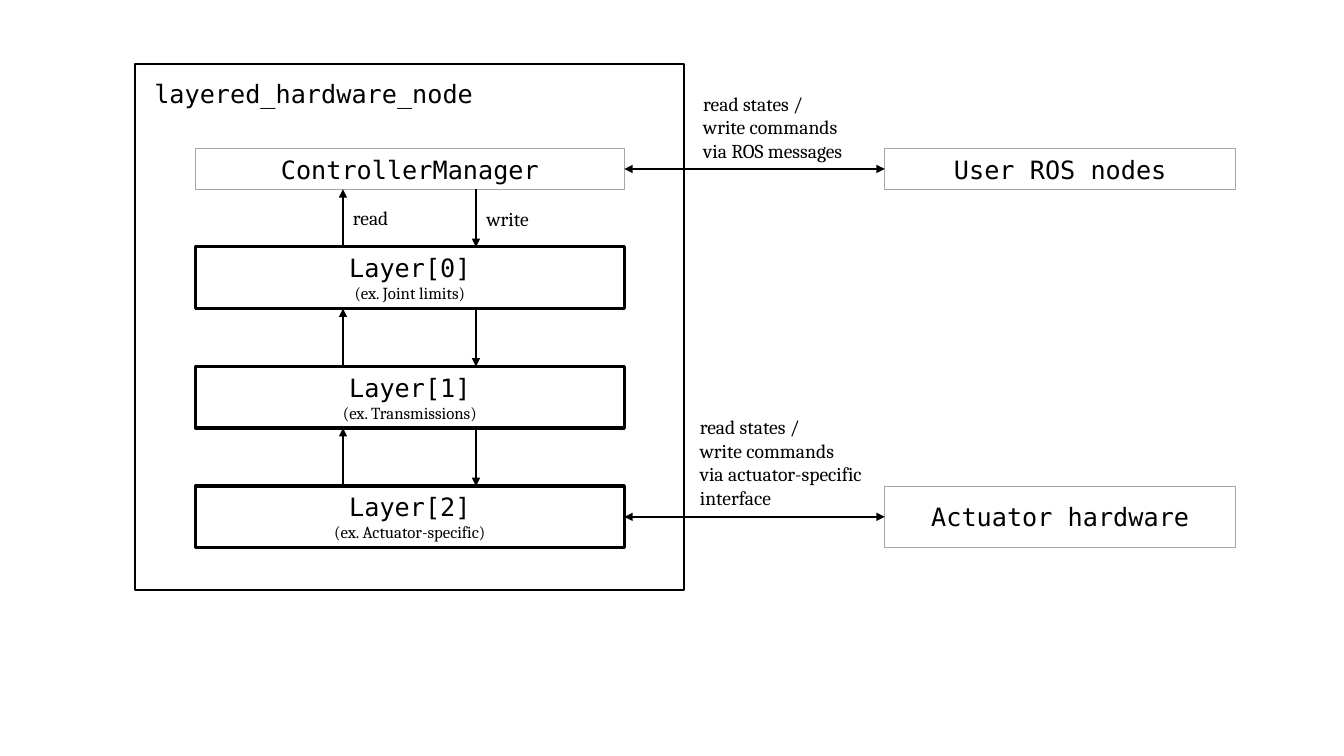
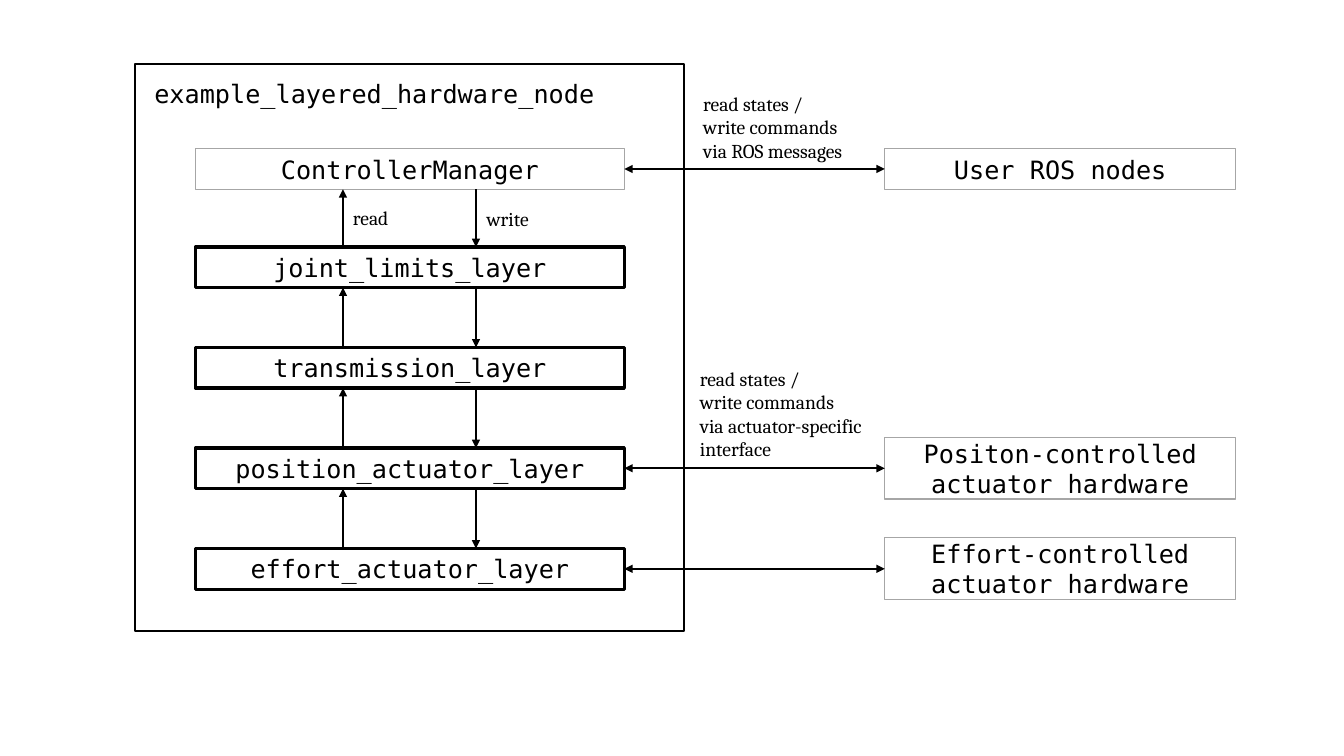
import pptx
import pptx.dml.color
import pptx.enum.shapes
import pptx.enum.text
import pptx.oxml
import pptx.oxml.ns
import pptx.util
from pptx.util import Pt

MONO, SERIF = "DejaVu Sans Mono", "Cambria"
BLACK, GREY = "000000", "A6A6A6"

# Each layer: name, example (or None), connected hardware (or None)
DIAGRAMS = [
    {
        "title": "layered_hardware_node",
        "layer_height": 44,
        "layer_pitch": 85.4,
        "layers": [
            ("Layer[0]", "(ex. Joint limits)", None),
            ("Layer[1]", "(ex. Transmissions)", None),
            ("Layer[2]", "(ex. Actuator-specific)", "Actuator hardware"),
        ],
    },
    {
        "title": "example_layered_hardware_node",
        "layer_height": 29,
        "layer_pitch": 71.8,
        "layers": [
            ("joint_limits_layer", None, None),
            ("transmission_layer", None, None),
            ("position_actuator_layer", None, "Positon-controlled\nactuator hardware"),
            ("effort_actuator_layer", None, "Effort-controlled\nactuator hardware"),
        ],
    },
]
ROS_LABEL = "read states /\nwrite commands\nvia ROS messages"
INTERFACE_LABEL = "read states /\nwrite commands\nvia actuator-specific\ninterface"

FRAME_LEFT, FRAME_TOP, FRAME_WIDTH, FRAME_PADDING = 96.5, 46, 392.4, 30
LAYER_LEFT, LAYER_WIDTH, FIRST_LAYER_TOP = 139.5, 306.5, 176.4
OUTSIDE_LEFT, OUTSIDE_WIDTH, HARDWARE_HEIGHT = 632, 250.5, 44
MANAGER_TOP, MANAGER_HEIGHT = 106.2, 29
READ_X, WRITE_X = 245, 340


def color(hex_string):
    return pptx.dml.color.RGBColor.from_string(hex_string)


def write_paragraph(paragraph, text, font_name, size, alignment):
    paragraph.text = text
    paragraph.alignment = alignment
    paragraph.font.name = font_name
    paragraph.font.size = Pt(size)
    paragraph.font.color.rgb = color(BLACK)


def add_box(slide, left, top, width, height, line_color, line_width, name=None, example=None):
    shape = slide.shapes.add_shape(
        pptx.enum.shapes.MSO_SHAPE.RECTANGLE, Pt(left), Pt(top), Pt(width), Pt(height))
    shape.shadow.inherit = False
    shape.fill.background()
    shape.line.color.rgb = color(line_color)
    shape.line.width = Pt(line_width)
    frame = shape.text_frame
    frame.word_wrap = True
    frame.vertical_anchor = pptx.enum.text.MSO_ANCHOR.MIDDLE
    center = pptx.enum.text.PP_ALIGN.CENTER
    if name:
        write_paragraph(frame.paragraphs[0], name, MONO, 18, center)
    if example:
        write_paragraph(frame.add_paragraph(), example, SERIF, 12, center)
    return shape


def add_label(slide, left, top, width, height, text):
    frame = slide.shapes.add_textbox(Pt(left), Pt(top), Pt(width), Pt(height)).text_frame
    frame.word_wrap = True
    write_paragraph(frame.paragraphs[0], text, SERIF, 14, pptx.enum.text.PP_ALIGN.LEFT)


def add_arrow(slide, start, end, ends=("tailEnd",)):
    connector = slide.shapes.add_connector(
        pptx.enum.shapes.MSO_CONNECTOR.STRAIGHT, *(Pt(value) for value in start + end))
    connector.line.color.rgb = color(BLACK)
    connector.line.width = Pt(1.5)
    properties = connector._element.spPr
    line = properties.find(pptx.oxml.ns.qn("a:ln"))
    for end_name in ends:
        arrowhead = pptx.oxml.parse_xml(
            f'<a:{end_name} {pptx.oxml.ns.nsdecls("a")} type="triangle"/>')
        line.append(arrowhead)
    properties.append(pptx.oxml.parse_xml(f'<a:effectLst {pptx.oxml.ns.nsdecls("a")}/>'))
    return connector


def add_exchange(slide, inner, outer, middle):
    """Join the right side of inner to the left side of outer, with two arrowheads."""
    connector = add_arrow(slide, (LAYER_LEFT + LAYER_WIDTH, middle), (OUTSIDE_LEFT, middle),
                          ("headEnd", "tailEnd"))
    connector.begin_connect(inner, 3)
    connector.end_connect(outer, 1)


def set_title(slide, text):
    title = slide.shapes.title
    title.left, title.top, title.width, title.height = Pt(103), Pt(52), Pt(348.5), Pt(29)
    title.text_frame.vertical_anchor = pptx.enum.text.MSO_ANCHOR.TOP
    title.text_frame.auto_size = pptx.enum.text.MSO_AUTO_SIZE.NONE
    write_paragraph(title.text_frame.paragraphs[0], text, MONO, 18, pptx.enum.text.PP_ALIGN.LEFT)


def add_diagram(presentation, diagram):
    slide = presentation.slides.add_slide(presentation.slide_layouts[5])
    set_title(slide, diagram["title"])
    height, pitch = diagram["layer_height"], diagram["layer_pitch"]
    last_bottom = FIRST_LAYER_TOP + (len(diagram["layers"]) - 1) * pitch + height
    add_box(slide, FRAME_LEFT, FRAME_TOP, FRAME_WIDTH,
            last_bottom + FRAME_PADDING - FRAME_TOP, BLACK, 1.5)

    manager = add_box(slide, LAYER_LEFT, MANAGER_TOP, LAYER_WIDTH, MANAGER_HEIGHT,
                      GREY, 0.75, "ControllerManager")
    user_nodes = add_box(slide, OUTSIDE_LEFT, MANAGER_TOP, OUTSIDE_WIDTH, MANAGER_HEIGHT,
                         GREY, 0.75, "User ROS nodes")
    add_exchange(slide, manager, user_nodes, MANAGER_TOP + MANAGER_HEIGHT / 2)
    add_label(slide, 495.2, 62, 160, 58, ROS_LABEL)
    add_label(slide, READ_X, 143.4, 53, 24.5, "read")
    add_label(slide, WRITE_X + 0.5, 144, 53, 24.5, "write")

    previous_bottom = MANAGER_TOP + MANAGER_HEIGHT
    interface_labelled = False
    for index, (name, example, hardware_name) in enumerate(diagram["layers"]):
        top = FIRST_LAYER_TOP + index * pitch
        layer = add_box(slide, LAYER_LEFT, top, LAYER_WIDTH, height, BLACK, 2.25, name, example)
        add_arrow(slide, (READ_X, top), (READ_X, previous_bottom))
        add_arrow(slide, (WRITE_X, previous_bottom), (WRITE_X, top))
        previous_bottom = top + height
        if hardware_name:
            middle = top + height / 2
            hardware = add_box(slide, OUTSIDE_LEFT, middle - HARDWARE_HEIGHT / 2, OUTSIDE_WIDTH,
                               HARDWARE_HEIGHT, GREY, 0.75, hardware_name)
            add_exchange(slide, layer, hardware, middle)
            if not interface_labelled:
                add_label(slide, 492.8, middle - 76.2, 186.5, 75, INTERFACE_LABEL)
                interface_labelled = True


def main():
    presentation = pptx.Presentation()
    presentation.slide_width, presentation.slide_height = Pt(960), Pt(540)
    for diagram in DIAGRAMS:
        add_diagram(presentation, diagram)
    presentation.save("out.pptx")


if __name__ == "__main__":
    main()
